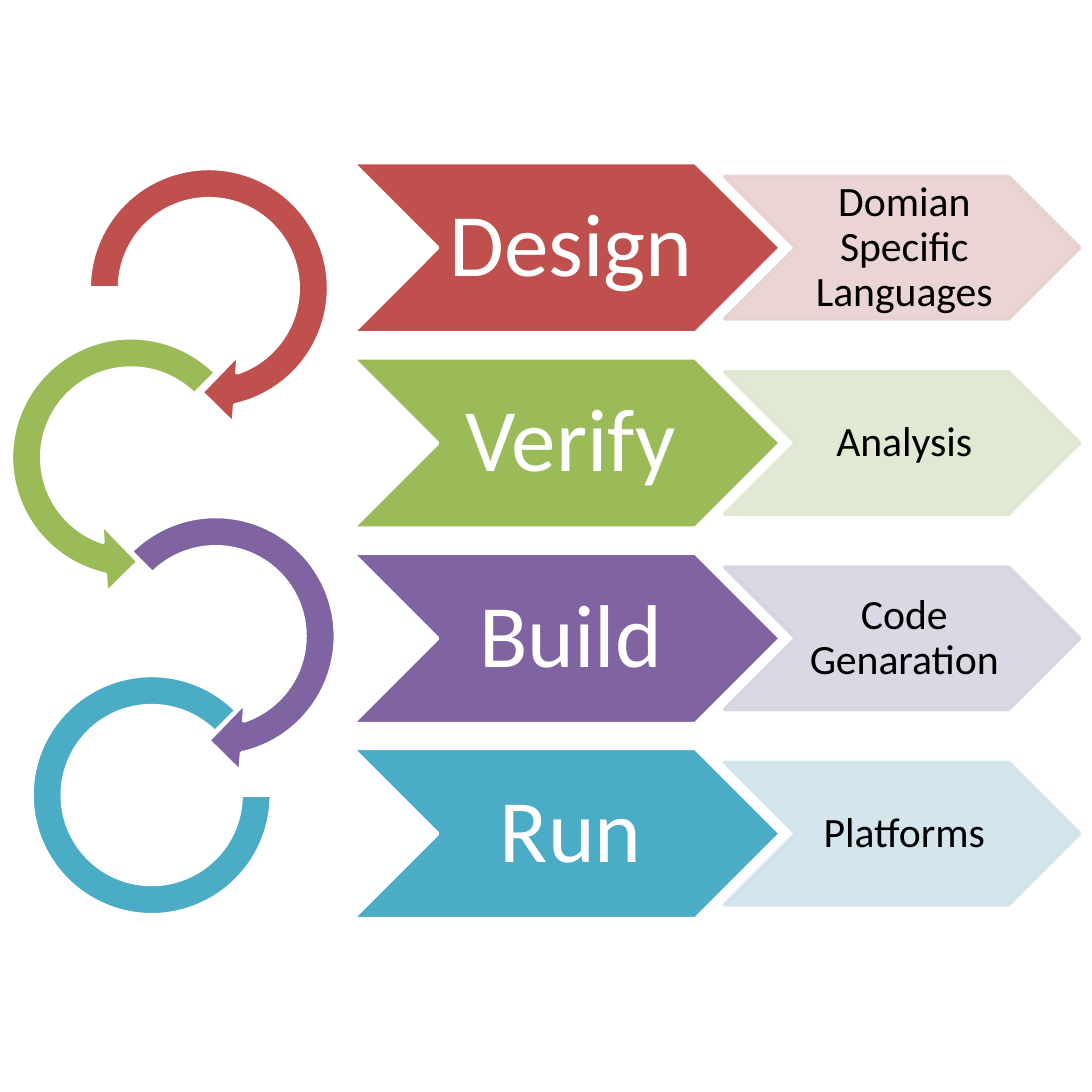
from lxml.etree import SubElement
from pptx import Presentation
from pptx.dml.color import RGBColor
from pptx.enum.shapes import MSO_SHAPE as Preset
from pptx.enum.text import MSO_ANCHOR as Anchor, PP_ALIGN as Align
from pptx.oxml.ns import qn
from pptx.util import Pt

COLORS = {
    "red": "C0504D", "green": "9BBB59", "purple": "8064A2", "blue": "4BACC6",
    "pale red": "E8D0D0", "pale green": "DEE7D1",
    "pale purple": "D8D3E0", "pale blue": "D0E3EA",
    "white": "FFFFFF", "black": "000000",
}
ROW_PITCH = 103

presentation = Presentation()
presentation.slide_width = presentation.slide_height = Pt(576)
slide = presentation.slides.add_slide(presentation.slide_layouts[6])


def add_filled(preset, box, fill, line, alpha=100):
    """Add a preset shape with a solid fill, a 2 pt line and alpha in percent."""
    shape = slide.shapes.add_shape(preset, *(Pt(length) for length in box))
    shape.shadow.inherit = False
    shape.fill.solid()
    shape.fill.fore_color.rgb = RGBColor.from_string(COLORS[fill])
    shape.line.color.rgb = RGBColor.from_string(COLORS[line])
    shape.line.width = Pt(2)
    if alpha < 100:
        for color in shape.element.spPr.iter(qn("a:srgbClr")):
            SubElement(color, qn("a:alpha"), val=str(alpha * 1000))
    return shape


def add_label(shape, text, size, color, left_inset, edge_inset):
    frame = shape.text_frame
    formats = {
        "word_wrap": True, "vertical_anchor": Anchor.MIDDLE,
        "margin_left": Pt(left_inset), "margin_right": 0,
        "margin_top": Pt(edge_inset), "margin_bottom": Pt(edge_inset),
    }
    for name, value in formats.items():
        setattr(frame, name, value)
    paragraph = frame.paragraphs[0]
    paragraph.alignment = Align.CENTER
    paragraph.line_spacing = 0.9
    run = paragraph.add_run()
    run.text = text
    run.font.name = "Calibri"
    run.font.size = Pt(size)
    run.font.color.rgb = RGBColor.from_string(COLORS[color])


steps = [
    ("Design", "Domian Specific Languages", "red"),
    ("Verify", "Analysis", "green"),
    ("Build", "Code Genaration", "purple"),
    ("Run", "Platforms", "blue"),
]
for row, (step, detail, color) in enumerate(steps):
    top = 85.7 + row * ROW_PITCH
    step_chevron = add_filled(
        Preset.CHEVRON, (185.8, top, 226, 90), color, "white")
    add_label(step_chevron, step, 47, "white", 4.7, 2.35)
    pale = f"pale {color}"
    detail_chevron = add_filled(
        Preset.CHEVRON, (382.3, top + 7.5, 187.2, 75), pale, pale, 90)
    add_label(detail_chevron, detail, 22, "black", 2.2, 1.1)

# Angles in the adjustments are degrees times 0.6
arrow_head = (0.1098, 11.42)
arcs = [
    (Preset.CIRCULAR_ARROW, (36.7, 78.5, 147, 147), "red",
     (*arrow_head, 45, 108, 0.125)),
    (Preset.LEFT_CIRCULAR_ARROW, (-4.3, 167.8, 147, 147), "green",
     (*arrow_head, 63, 189, 0.125)),
    (Preset.CIRCULAR_ARROW, (40.3, 262.1, 147, 147), "purple",
     (*arrow_head, 45, 135, 0.125)),
    (Preset.BLOCK_ARC, (16.8, 356.2, 126.4, 126.4), "blue",
     (0, 189, 0.1274)),
]
for preset, box, color, adjustments in arcs:
    arc = add_filled(preset, box, color, "white")
    for index, value in enumerate(adjustments):
        arc.adjustments[index] = value

presentation.save("out.pptx")
